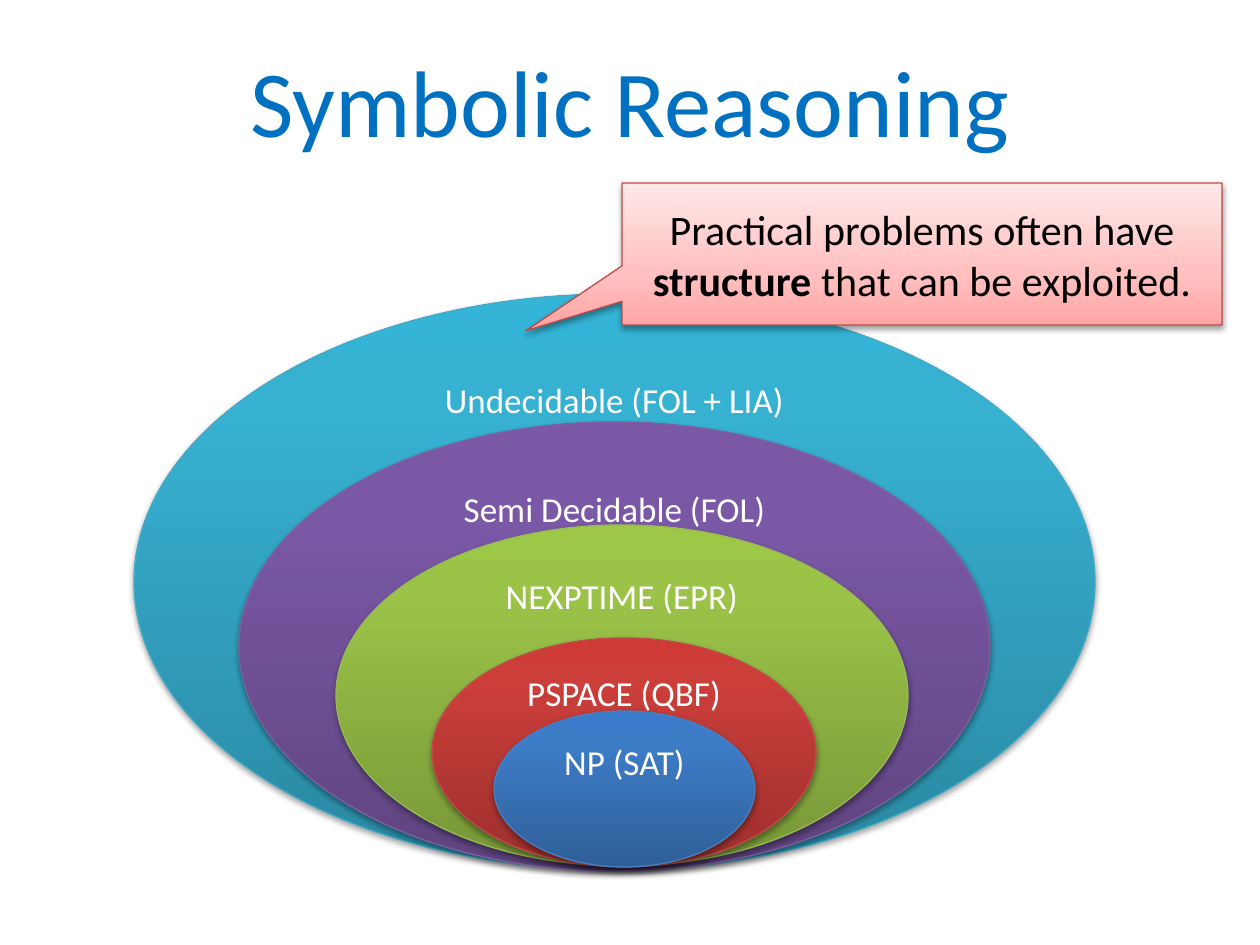
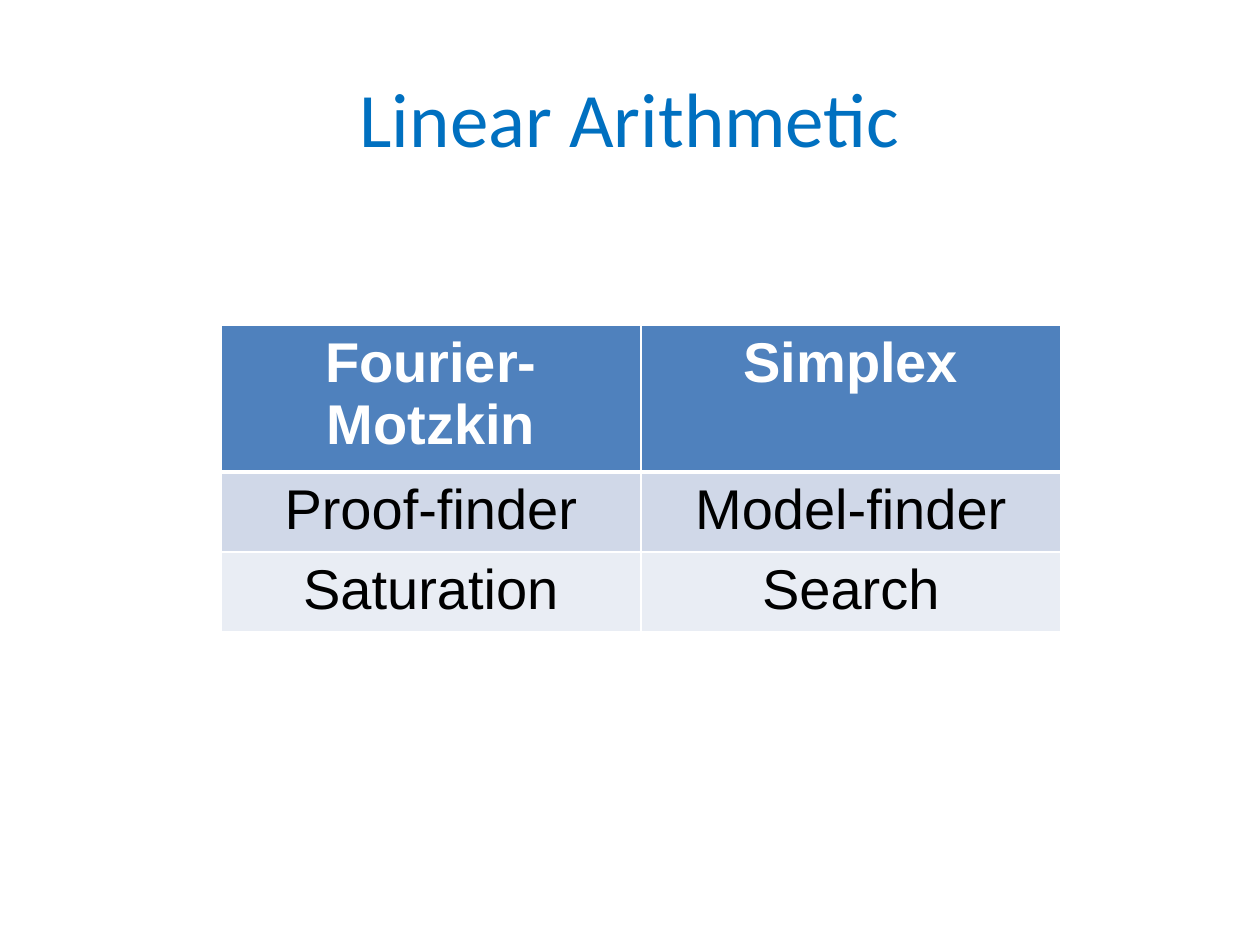
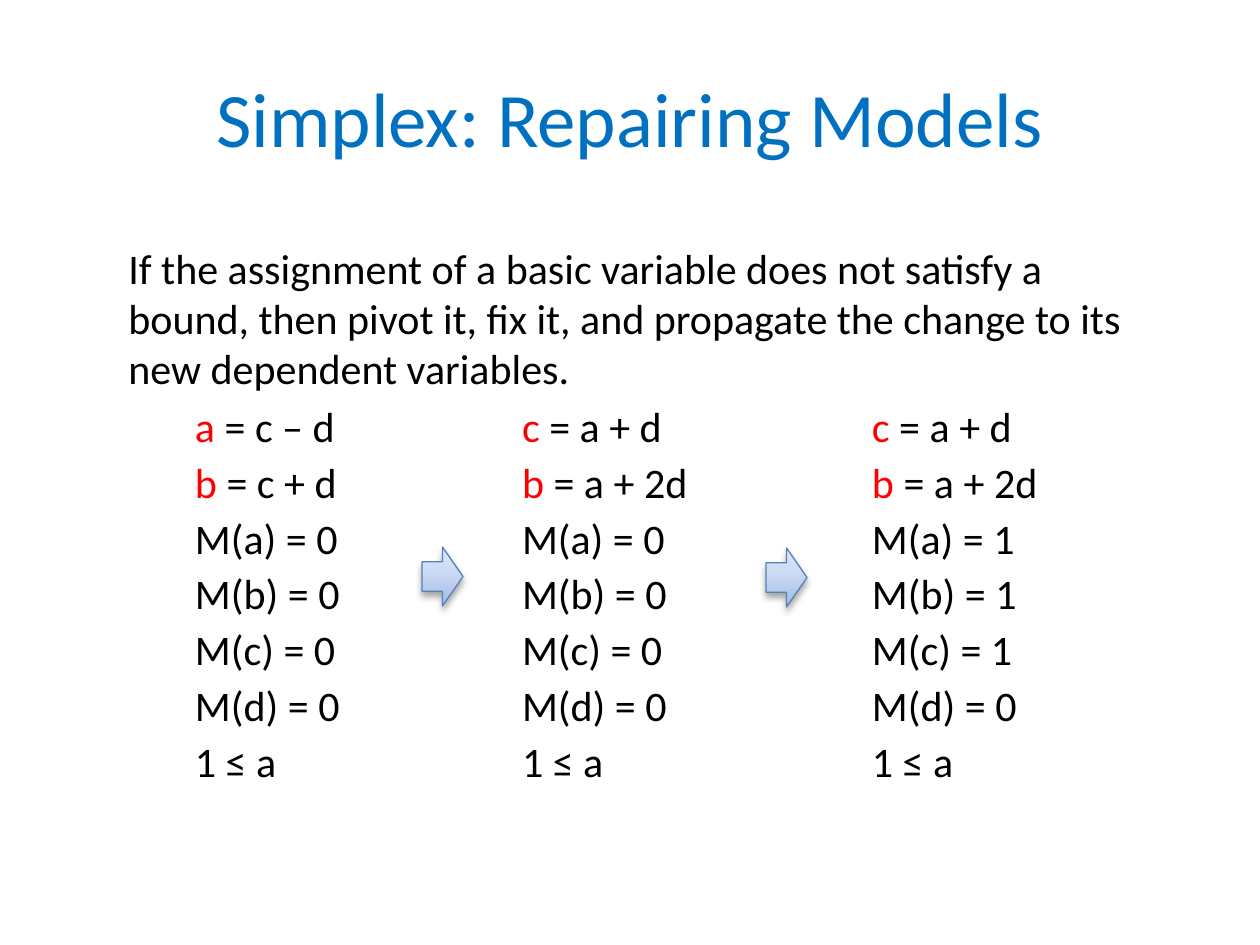
from copy import deepcopy
from lxml.etree import SubElement
from pptx import Presentation
from pptx.dml.color import RGBColor
from pptx.enum.shapes import MSO_SHAPE as SHAPE
from pptx.enum.text import MSO_ANCHOR as ANCHOR, MSO_AUTO_SIZE as AUTO, PP_ALIGN as ALIGN
from pptx.oxml.ns import qn
from pptx.util import Pt

PX = 914400 / 126
BLUE = RGBColor(0x00, 0x70, 0xC0)
RED = RGBColor(0xFF, 0x00, 0x00)
BLACK = RGBColor(0x00, 0x00, 0x00)
WHITE = RGBColor(0xFF, 0xFF, 0xFF)
HEAD = RGBColor(0x4F, 0x81, 0xBD)
BAND = RGBColor(0xD0, 0xD8, 0xE8)
PALE = RGBColor(0xE9, 0xED, 0xF4)
# Gradient stops from bottom to top, then the outline
TEAL = [RGBColor.from_string(c) for c in ("2A88A2", "37B1D2", "34B4D6", "46AAC5")]
PLUM = [RGBColor.from_string(c) for c in ("5F4480", "7B58A6", "7C57A8", "7D60A0")]
LIME = [RGBColor.from_string(c) for c in ("779737", "9BC348", "9DC746", "98B955")]
BRICK = [RGBColor.from_string(c) for c in ("9C2F2D", "CB3E3A", "CE3B37", "BF4C48")]
NAVY = [RGBColor.from_string(c) for c in ("2F5F99", "3D7CC7", "3A7CCB", "4B7EBC")]
PINK = [RGBColor.from_string(c) for c in ("FFA6A5", "FFC0BF", "FFE7E7", "BF4C48")]
SKY = [RGBColor.from_string(c) for c in ("A3BBE4", "D0DDF6", "DCE7FB", "5782B5")]


def style(para, size, color, align=None, face="Calibri"):
    para.alignment = align
    for run in para.runs:
        run.font.size, run.font.name = Pt(size), face
        run.font.color.rgb = color


def paint(shape, hues, mid, blur, dist, alpha):
    """Give a shape its gradient, thin outline and soft shadow below."""
    shape.fill.gradient()
    shape.fill.gradient_angle = 90
    props = shape._element.spPr
    stops = props.find(qn("a:gradFill")).find(qn("a:gsLst"))
    stops.append(deepcopy(stops[0]))
    for stop, spot, hue in zip(shape.fill.gradient_stops, (0, mid, 1), hues):
        stop.position = spot
        stop.color.rgb = hue
    shape.line.color.rgb = hues[3]
    shape.line.width = Pt(0.75)
    shape.shadow.inherit = False
    glow = SubElement(props.find(qn("a:effectLst")), qn("a:outerShdw"), blurRad=str(Pt(blur)),
                      dist=str(Pt(dist)), dir="5400000", rotWithShape="0")
    tint = SubElement(glow, qn("a:srgbClr"), val="000000")
    SubElement(tint, qn("a:alpha"), val=str(alpha * 1000))


deck = Presentation()
deck.slide_width, deck.slide_height = round(1260 * PX), round(945 * PX)

# Slides with their titles
for name, top, size in [("Symbolic Reasoning", 21, 54), ("Linear Arithmetic", 38, 44),
                        ("Simplex: Repairing Models", 38, 44)]:
    slide = deck.slides.add_slide(deck.slide_layouts[6])
    title = slide.shapes.add_textbox(*(round(n * PX) for n in (63, top, 1134, 158)))
    frame = title.text_frame
    frame.word_wrap, frame.vertical_anchor = True, ANCHOR.MIDDLE
    frame.text = name
    style(frame.paragraphs[0], size, BLUE, ALIGN.CENTER)
logic, table_page, models = deck.slides

# Slide 1: nested problem classes
nest = logic.shapes.add_group_shape()
for label, box, hues, wrap in [
    ("Undecidable (FOL + LIA)", (134, 294, 961, 576), TEAL, False),
    ("Semi Decidable (FOL)", (239, 422, 751, 449), PLUM, False),
    ("NEXPTIME (EPR)", (336, 525, 572, 341), LIME, True),
    ("PSPACE (QBF)", (432, 638, 384, 229), BRICK, True),
    ("NP (SAT)", (494, 711, 261, 156), NAVY, True),
]:
    oval = nest.shapes.add_shape(SHAPE.OVAL, *(round(n * PX) for n in box))
    paint(oval, hues, 0.8, 3.15, 1.8, 35)
    frame = oval.text_frame
    frame.word_wrap, frame.vertical_anchor = wrap, ANCHOR.TOP
    if label != "NP (SAT)":
        frame.margin_top = frame.margin_bottom = 0
    frame.text = label
    style(frame.paragraphs[0], 20, WHITE, ALIGN.CENTER)

# Callout
note = logic.shapes.add_shape(SHAPE.RECTANGULAR_CALLOUT,
                              *(round(n * PX) for n in (622, 183, 600, 142)))
note.adjustments[0], note.adjustments[1] = -0.66, 0.54
paint(note, PINK, 0.35, 3.15, 1.6, 38)
note.text_frame.word_wrap, note.text_frame.vertical_anchor = True, ANCHOR.MIDDLE
para = note.text_frame.paragraphs[0]
for part in ("Practical problems often have ", "structure", " that can be exploited."):
    para.add_run().text = part
style(para, 24, BLACK, ALIGN.CENTER)
para.runs[1].font.bold = True

# Slide 2: table of methods
rows = [("Fourier-Motzkin", "Simplex"), ("Proof-finder", "Model-finder"),
        ("Saturation", "Search")]
grid = table_page.shapes.add_table(3, 2, *(round(n * PX) for n in (221, 325, 840, 156))).table
grid.first_row = grid.horz_banding = False
for r, row in enumerate(rows):
    for c, word in enumerate(row):
        cell = grid.cell(r, c)
        cell.text = word
        para = cell.text_frame.paragraphs[0]
        style(para, 32, BLACK if r else WHITE, ALIGN.CENTER, "Arial")
        para.runs[0].font.bold = r == 0
        # White borders, thick below the header
        props = cell._tc.get_or_add_tcPr()
        for side in "LRTB":
            thick = (r, side) in [(0, "B"), (1, "T")]
            edge = SubElement(props, qn("a:ln" + side), w=str(Pt(3 if thick else 1)))
            SubElement(SubElement(edge, qn("a:solidFill")), qn("a:srgbClr"), val=str(WHITE))
        cell.fill.solid()
        cell.fill.fore_color.rgb = (HEAD, BAND, PALE)[r]

# Slide 3: rule
body = models.shapes.add_textbox(*(round(n * PX) for n in (116, 236, 1040, 137)))
body.text_frame.word_wrap = True
body.text_frame.text = ("If the assignment of a basic variable does not satisfy a bound, then pivot it, "
                        "fix it, and propagate the change to its new dependent variables.")
para = body.text_frame.paragraphs[0]
para.space_before = Pt(6)
style(para, 24, BLACK)

# Three steps: basic variables in red, then the model and the bound
for left, width, rules, vals in [
    (195, 163, [("a", " = c – d"), ("b", " = c + d")], (0, 0, 0, 0)),
    (522, 223, [("c", " = a + d"), ("b", " = a + 2d")], (0, 0, 0, 0)),
    (872, 223, [("c", " = a + d"), ("b", " = a + 2d")], (1, 1, 1, 0)),
]:
    step = models.shapes.add_textbox(*(round(n * PX) for n in (left, 406, width, 384)))
    frame = step.text_frame
    frame.word_wrap, frame.auto_size = True, AUTO.SHAPE_TO_FIT_TEXT
    frame.margin_left = frame.margin_right = frame.margin_top = frame.margin_bottom = 0
    facts = [f"M({v}) = {n}" for v, n in zip("abcd", vals)] + ["1 ≤ a"]
    frame.text = "\n".join([base for base, _ in rules] + facts)
    for para, (_, rest) in zip(frame.paragraphs, rules):
        para.add_run().text = rest
    for para in frame.paragraphs:
        para.line_spacing, para.space_before = 0.9, Pt(6)
        style(para, 24, BLACK)
    for para in frame.paragraphs[:2]:
        para.runs[0].font.color.rgb = RED

# Arrows between the steps
for left, top in [(422, 547), (766, 548)]:
    arrow = models.shapes.add_shape(SHAPE.RIGHT_ARROW,
                                    *(round(n * PX) for n in (left, top, 41, 59)))
    paint(arrow, SKY, 0.65, 4, 3, 35)

deck.save("out.pptx")
